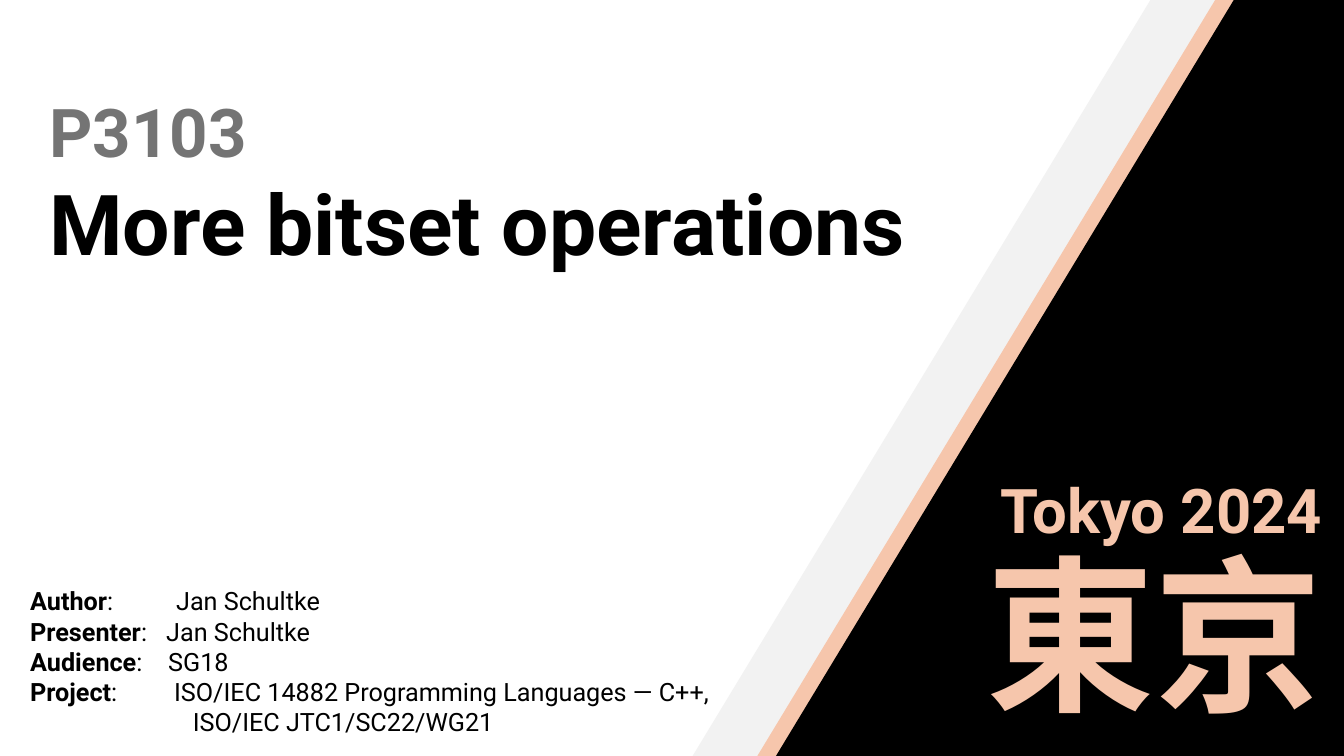
import pptx
import pptx.dml.color
import pptx.enum.shapes
import pptx.enum.text
import pptx.util
from lxml import etree
from pptx.util import Cm

# Content
PEACH, BLACK, GRAY = "F6C6AC", "000000", "747474"
FONT = "Roboto"

BAND_SIZE = (38.58, 24.05)
BAND_ANGLE = 301.2
BANDS = [  # left, top, colour
    (14.15, 3.84, "F2F2F2"),
    (16.03, 3.43, PEACH),
    (16.99, 2.62, BLACK),
]

TITLE_BOX = (0.99, 2.11, 27.1, 4.88)
TITLE_LINES = [("P3103", 48, GRAY), ("More bitset operations", 60, BLACK)]

VENUE = [  # text, size, box
    ("Tokyo 2024", 44, (24.97, 11.76, 9.96, 2.13)),
    ("東京", 120, (24.61, 13.23, 11.68, 5.38)),
]

DETAILS_BOX = (0.51, 14.63, 20.22, 4.11)
DETAILS = [  # label, value, start of the value
    ("Author", "Jan Schultke", 3.68),
    ("Presenter", "Jan Schultke", 3.43),
    ("Audience", "SG18", 3.48),
    ("Project", "ISO/IEC 14882 Programming Languages — C++,", 3.63),
    ("", "ISO/IEC JTC1/SC22/WG21", 4.1),
]


def color(hex_text):
    return pptx.dml.color.RGBColor.from_string(hex_text)


def add_run(paragraph, text, size, hex_text, bold=True):
    run = paragraph.add_run()
    run.text = text
    formats = {"name": FONT, "size": pptx.util.Pt(size), "bold": bold}
    for name, value in formats.items():
        setattr(run.font, name, value)
    run.font.color.rgb = color(hex_text)


def prepare_frame(shape, anchor):
    formats = {
        "word_wrap": True,
        "auto_size": pptx.enum.text.MSO_AUTO_SIZE.NONE,
        "vertical_anchor": anchor,
        "margin_left": Cm(0.25), "margin_right": Cm(0.25),
        "margin_top": Cm(0.13), "margin_bottom": Cm(0.13),
    }
    for name, value in formats.items():
        setattr(shape.text_frame, name, value)
    return shape.text_frame


def add_paragraphs(frame, count):
    for _ in range(count - 1):
        frame.add_paragraph()
    for paragraph in frame.paragraphs:
        paragraph.alignment = pptx.enum.text.PP_ALIGN.LEFT
        paragraph.line_spacing = 1.0
        paragraph.space_before = pptx.util.Pt(0)
    return frame.paragraphs


def set_value_start(paragraph, start, has_label):
    properties = paragraph._p.get_or_add_pPr()
    if not has_label:
        properties.set("marL", str(Cm(start)))
        properties.set("indent", "0")
        return
    namespace = "{http://schemas.openxmlformats.org/drawingml/2006/main}"
    tabs = etree.SubElement(properties, namespace + "tabLst")
    etree.SubElement(tabs, namespace + "tab", pos=str(Cm(start)), algn="l")


presentation = pptx.Presentation()
presentation.slide_width = Cm(33.87)
presentation.slide_height = Cm(19.05)
slide = presentation.slides.add_slide(presentation.slide_layouts[5])
top_anchor = pptx.enum.text.MSO_ANCHOR.TOP

# Diagonal bands
for left, top, hex_text in BANDS:
    band = slide.shapes.add_shape(
        pptx.enum.shapes.MSO_SHAPE.RECTANGLE, *map(Cm, (left, top, *BAND_SIZE)))
    band.rotation = BAND_ANGLE
    band.shadow.inherit = False
    band.fill.solid()
    band.fill.fore_color.rgb = color(hex_text)
    band.line.fill.background()

# Title, in front of the bands
title = slide.shapes.title
title.element.getparent().append(title.element)
for name, value in zip(("left", "top", "width", "height"), TITLE_BOX):
    setattr(title, name, Cm(value))
frame = prepare_frame(title, pptx.enum.text.MSO_ANCHOR.BOTTOM)
for paragraph, line in zip(add_paragraphs(frame, len(TITLE_LINES)), TITLE_LINES):
    add_run(paragraph, *line)

# Venue
for text, size, box in VENUE:
    frame = prepare_frame(slide.shapes.add_textbox(*map(Cm, box)), top_anchor)
    add_run(add_paragraphs(frame, 1)[0], text, size, PEACH)

# Paper details
frame = prepare_frame(slide.shapes.add_textbox(*map(Cm, DETAILS_BOX)), top_anchor)
for paragraph, (label, value, start) in zip(add_paragraphs(frame, len(DETAILS)), DETAILS):
    set_value_start(paragraph, start, bool(label))
    if label:
        add_run(paragraph, label, 18, BLACK)
        value = ":\t" + value
    add_run(paragraph, value, 18, BLACK, bold=False)

presentation.save("out.pptx")
